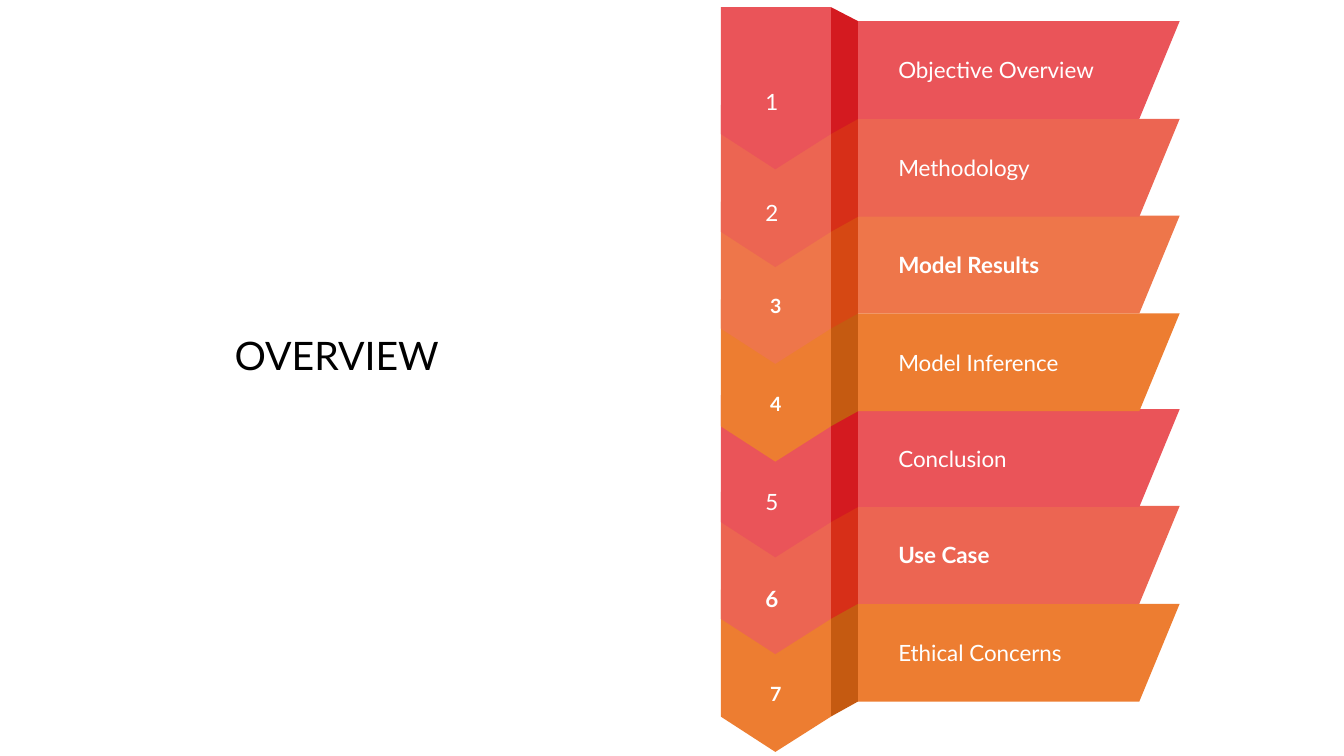
from pptx import Presentation
from pptx import util as u
from pptx.dml.color import RGBColor
from pptx.enum import text

# Horizontal positions shared by all ribbon rows, in inches
LEFT, TIP, FOLD, LABEL, LABEL_FOOT, LABEL_END = 7.15, 7.69, 8.24, 8.51, 11.3, 11.7

# Face colour and matching darker fold colour
RED = ("EA5459", "D41A20")
CORAL = ("EC6552", "D72F18")
PEACH = ("EE764A", "D64813")
ORANGE = ("ED7D31", "C55A11")

# Number formats: (size, bold, alignment, left inset)
CENTERED = (14, True, text.PP_ALIGN.CENTER, 0.1)
PLAIN = (16, False, text.PP_ALIGN.LEFT, 0.44)
STRONG = (16, True, text.PP_ALIGN.LEFT, 0.44)

# Top, colours, label, bold label, number format, top inset of the number
ROWS = [
    (0.07, RED, "Objective Overview", False, PLAIN, 0.32),
    (1.04, CORAL, "Methodology", False, PLAIN, 0.58),
    (2.0, PEACH, "Model Results", True, CENTERED, 0.5),
    (2.97, ORANGE, "Model Inference", False, CENTERED, 0.5),
    (3.92, RED, "Conclusion", False, PLAIN, 0.56),
    (4.88, CORAL, "Use Case", True, STRONG, 0.56),
    (5.85, ORANGE, "Ethical Concerns", False, CENTERED, 0.5),
]


def color(hex_string):
    return RGBColor.from_string(hex_string)


class Page:
    font = "Lato"
    light = "FFFFFF"
    dark = "000000"

    def __init__(self, deck):
        self.slide = deck.slides.add_slide(deck.slide_layouts[5])

    def add_words(self, shape, words, size, ink, bold=False,
                  align=text.PP_ALIGN.LEFT, insets=(0, 0, 0, 0)):
        frame = shape.text_frame
        frame.word_wrap = True
        frame.auto_size = text.MSO_AUTO_SIZE.NONE
        frame.vertical_anchor = text.MSO_ANCHOR.MIDDLE
        (frame.margin_left, frame.margin_top,
         frame.margin_right, frame.margin_bottom) = map(u.Inches, insets)
        para = frame.paragraphs[0]
        para.alignment = align
        span = para.add_run()
        span.text = words
        span.font.name = self.font
        span.font.size = u.Pt(size)
        span.font.bold = bold
        span.font.color.rgb = color(ink)
        return para

    def title(self, words, left, top, width, height):
        box = self.slide.shapes.title
        box.left, box.top = u.Inches(left), u.Inches(top)
        box.width, box.height = u.Inches(width), u.Inches(height)
        para = self.add_words(box, words, 28, self.dark,
                              align=text.PP_ALIGN.CENTER)
        para.line_spacing = 0.9

    def polygon(self, points, top, fill):
        corners = [(u.Inches(x), u.Inches(top + y)) for x, y in points]
        builder = self.slide.shapes.build_freeform(*corners[0])
        builder.add_line_segments(corners[1:], close=True)
        shape = builder.convert_to_shape()
        shape.shadow.inherit = False
        shape.fill.solid()
        shape.fill.fore_color.rgb = color(fill)
        shape.line.fill.background()
        return shape

    def row(self, number, top, colors, label, bold, number_format, inset):
        face, shade = colors
        # Fold between the number and the label
        self.polygon([(LABEL, 1.11), (FOLD, 1.26), (FOLD, 0), (LABEL, 0.14)],
                     top, shade)
        # Downward chevron with the number
        chevron = self.polygon([(FOLD, 1.26), (TIP, 1.61), (LEFT, 1.26),
                                (LEFT, 0), (FOLD, 0)], top, face)
        size, strong, align, indent = number_format
        self.add_words(chevron, str(number), size, self.light, strong, align,
                       (indent, inset, 0.1, 0.05))
        # Slanted label
        banner = self.polygon([(LABEL_FOOT, 1.11), (LABEL, 1.11),
                               (LABEL, 0.14), (LABEL_END, 0.14)], top, face)
        self.add_words(banner, label, 16, self.light, bold,
                       insets=(0.4, 0.05, 0.1, 0.05))


def main():
    deck = Presentation()
    deck.slide_width, deck.slide_height = u.Inches(13.33), u.Inches(7.5)
    page = Page(deck)
    page.title("OVERVIEW", 1.43, 2.98, 3.82, 1.14)

    # Bottom row first, so that each row overlaps the one below it
    for number, row in reversed(list(enumerate(ROWS, start=1))):
        page.row(number, *row)

    deck.save("out.pptx")


if __name__ == "__main__":
    main()
